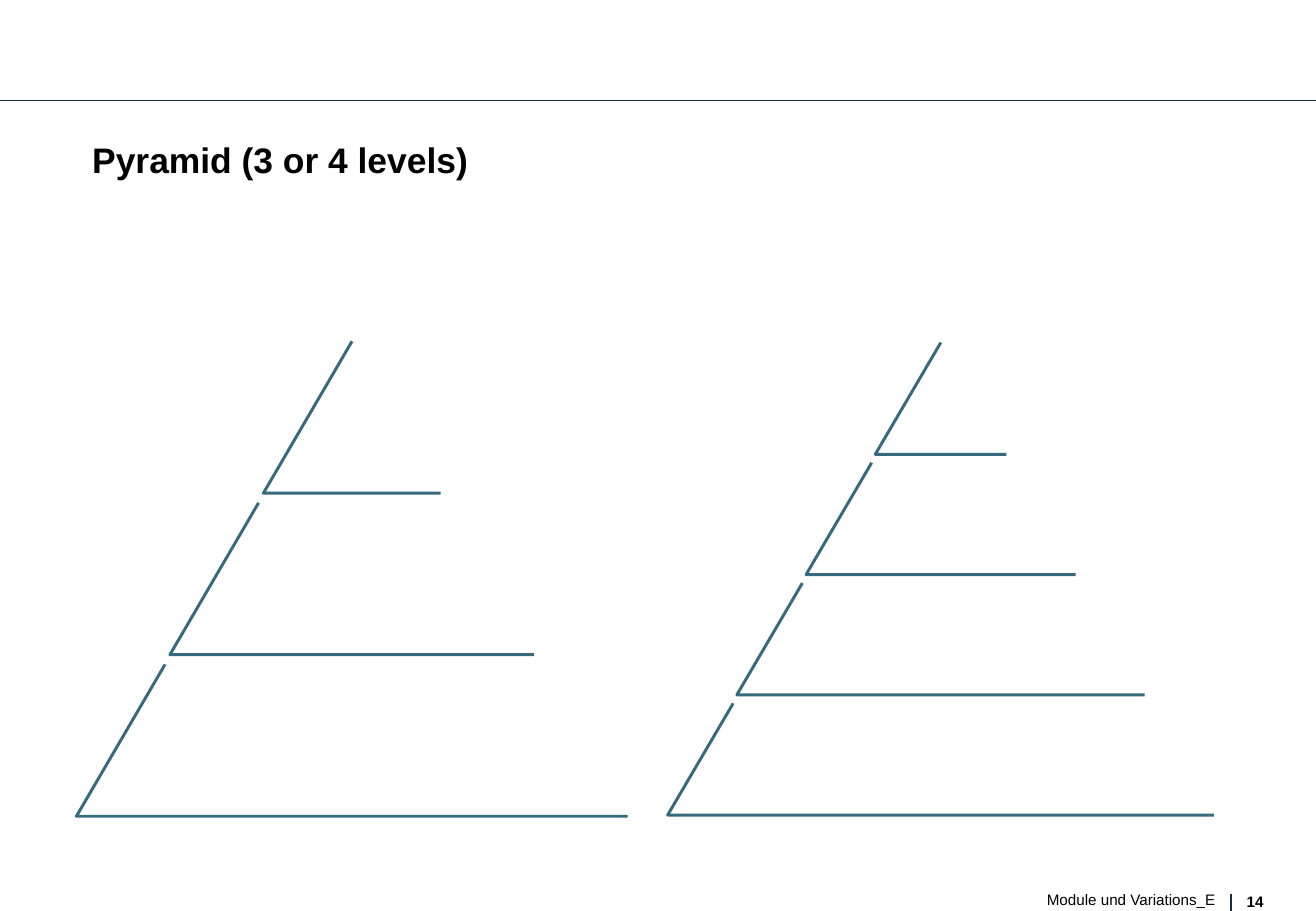
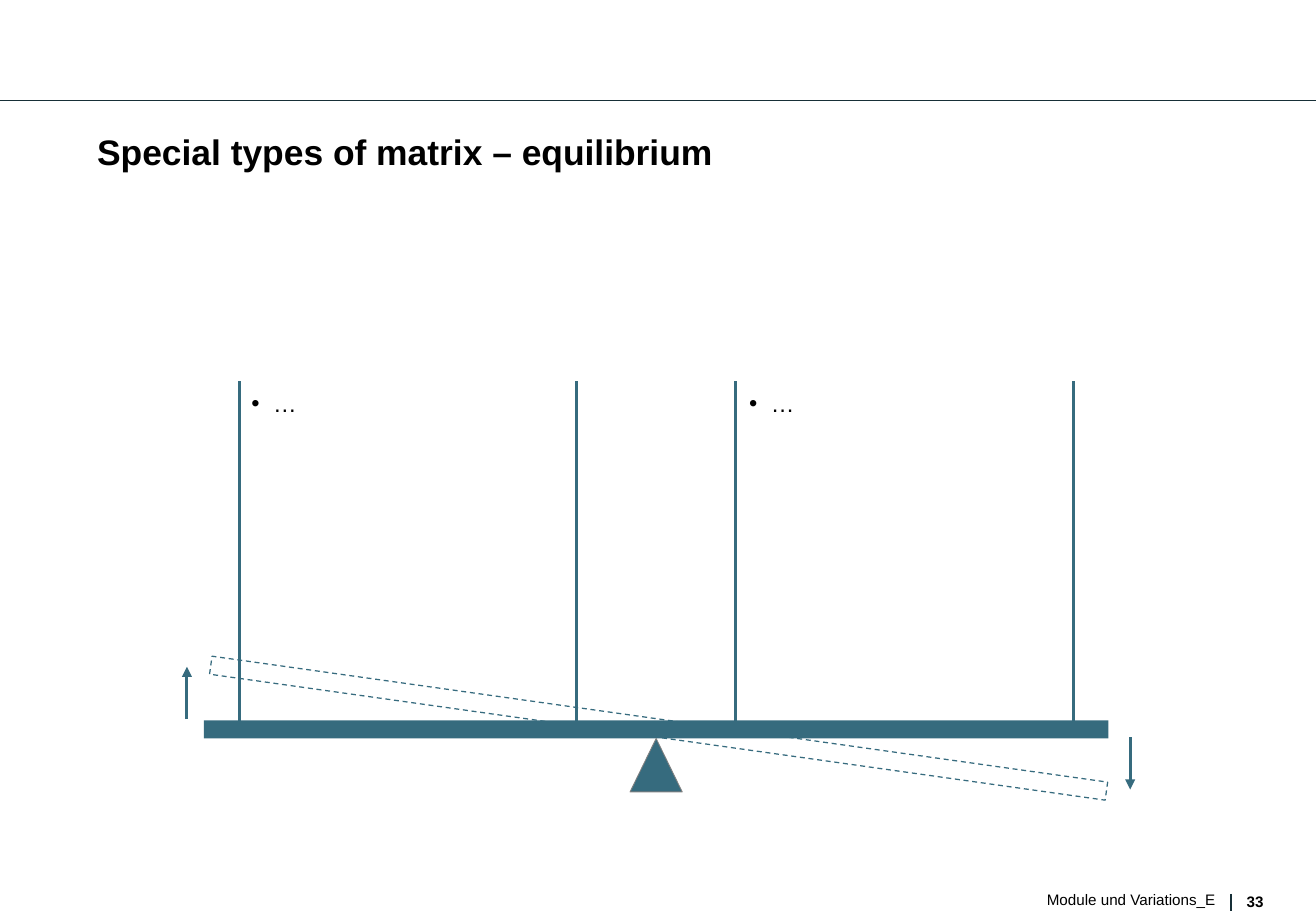
"""Build two slides: a pyramid with three or four levels, and an equilibrium matrix."""
from lxml import etree
from pptx import Presentation
from pptx.dml.color import RGBColor
from pptx.enum.dml import MSO_LINE
from pptx.enum.shapes import MSO_CONNECTOR, MSO_SHAPE
from pptx.enum.text import PP_ALIGN
from pptx.oxml.ns import qn
from pptx.util import Inches, Pt

STRAIGHT = MSO_CONNECTOR.STRAIGHT
RECTANGLE = MSO_SHAPE.RECTANGLE
TRIANGLE = MSO_SHAPE.ISOSCELES_TRIANGLE
BRACKETS = MSO_SHAPE.DOUBLE_BRACKET
DASH = MSO_LINE.DASH
LEFT, RIGHT = PP_ALIGN.LEFT, PP_ALIGN.RIGHT

COLORS = {"teal": "366B7E", "rule": "172F37", "text": "000000", "edge": "808080"}
FONT = "Arial"


def add_text(s, box, text, size, bold=False, align=LEFT, spacing=None, bullet=False):
    tf = s.shapes.add_textbox(*map(Inches, box)).text_frame
    tf.word_wrap = True
    tf.margin_left = tf.margin_top = tf.margin_right = tf.margin_bottom = 0
    p = tf.paragraphs[0]
    p.alignment = align
    if spacing:
        p.line_spacing = spacing
    if bullet:
        pPr = p._p.get_or_add_pPr()
        pPr.set("marL", str(Inches(0.18)))
        pPr.set("indent", str(-Inches(0.18)))
        color = etree.SubElement(pPr, qn("a:buClr"))
        etree.SubElement(color, qn("a:srgbClr"), val=COLORS["text"])
        etree.SubElement(pPr, qn("a:buFont"), typeface=FONT)
        etree.SubElement(pPr, qn("a:buChar"), char="•")
    r = p.add_run()
    r.text = text
    r.font.name = FONT
    r.font.size = Pt(size)
    r.font.bold = bold
    r.font.color.rgb = RGBColor.from_string(COLORS["text"])


def add_line(s, ends, color, width, arrow=False):
    line = s.shapes.add_connector(STRAIGHT, *map(Inches, ends))
    line.line.color.rgb = RGBColor.from_string(COLORS[color])
    line.line.width = Pt(width)
    if arrow:
        etree.SubElement(line.line._get_or_add_ln(), qn("a:tailEnd"), type="triangle")
    etree.SubElement(line._element.spPr, qn("a:effectLst"))


prs = Presentation()
prs.slide_width, prs.slide_height = Inches(10.84), Inches(7.5)

slides = []
for title, title_box, number in [
    ("Pyramid (3 or 4 levels)", (0.76, 1.17, 9.33, 0.28), "14"),
    ("Special types of matrix – equilibrium", (0.8, 1.1, 9.36, 0.72), "33"),
]:
    s = prs.slides.add_slide(prs.slide_layouts[6])
    add_line(s, (0, 0.83, 10.84, 0.83), "rule", 0.75)
    add_line(s, (10.14, 7.36, 10.14, 7.5), "rule", 0.75)
    add_text(s, (10.27, 7.35, 0.17, 0.14), number, 9, bold=True)
    add_text(s, (6.22, 7.33, 3.79, 0.15), "Module und Variations_E", 9,
             align=RIGHT, spacing=Pt(11))
    add_text(s, title_box, title, 21, bold=True, spacing=0.93)
    slides.append(s)
pyramid, equilibrium = slides

for levels, axis, top, run, rise, step, pitch in [
    (3, 2.9, 2.81, 0.73, 1.25, 0.77, 1.33),
    (4, 7.75, 2.82, 0.54, 0.92, 0.57, 0.99),
]:
    for level in range(levels):
        half = run + level * step
        y = top + level * pitch
        corner, base = axis - half, y + rise
        outline = pyramid.shapes.build_freeform(Inches(corner + run), Inches(y))
        outline.add_line_segments(
            [(Inches(corner), Inches(base)), (Inches(axis + half), Inches(base))],
            close=False)
        sp = outline.convert_to_shape()
        sp.shadow.inherit = False
        sp.fill.background()
        sp.line.color.rgb = RGBColor.from_string(COLORS["teal"])
        sp.line.width = Pt(1.75)

for kind, box, fill, edge, width, dash, rotation in [
    (RECTANGLE, (1.7, 5.92, 7.45, 0.15), None, "teal", 0.75, DASH, 8),
    (RECTANGLE, (1.68, 5.93, 7.45, 0.15), "teal", None, 0, None, 0),
    (TRIANGLE, (5.19, 6.08, 0.43, 0.44), "teal", "edge", 0.5, None, 0),
    (BRACKETS, (1.97, 3.14, 2.78, 2.81), None, "teal", 1.75, None, 0),
    (BRACKETS, (6.06, 3.14, 2.78, 2.81), None, "teal", 1.75, None, 0),
]:
    sp = equilibrium.shapes.add_shape(kind, *map(Inches, box))
    sp.shadow.inherit = False
    sp.rotation = rotation
    if kind == BRACKETS:
        sp.adjustments[0] = 0
    if fill:
        sp.fill.solid()
        sp.fill.fore_color.rgb = RGBColor.from_string(COLORS[fill])
    else:
        sp.fill.background()
    if edge:
        sp.line.color.rgb = RGBColor.from_string(COLORS[edge])
        sp.line.width = Pt(width)
        if dash:
            sp.line.dash_style = dash
    else:
        sp.line.fill.background()

for ends in [(1.54, 5.92, 1.54, 5.49), (9.31, 6.07, 9.31, 6.5)]:
    add_line(equilibrium, ends, "teal", 1.75, arrow=True)
for x in (2.07, 6.17):
    add_text(equilibrium, (x, 3.2, 2.6, 0.23), "…", 14, bullet=True)

prs.save("out.pptx")
